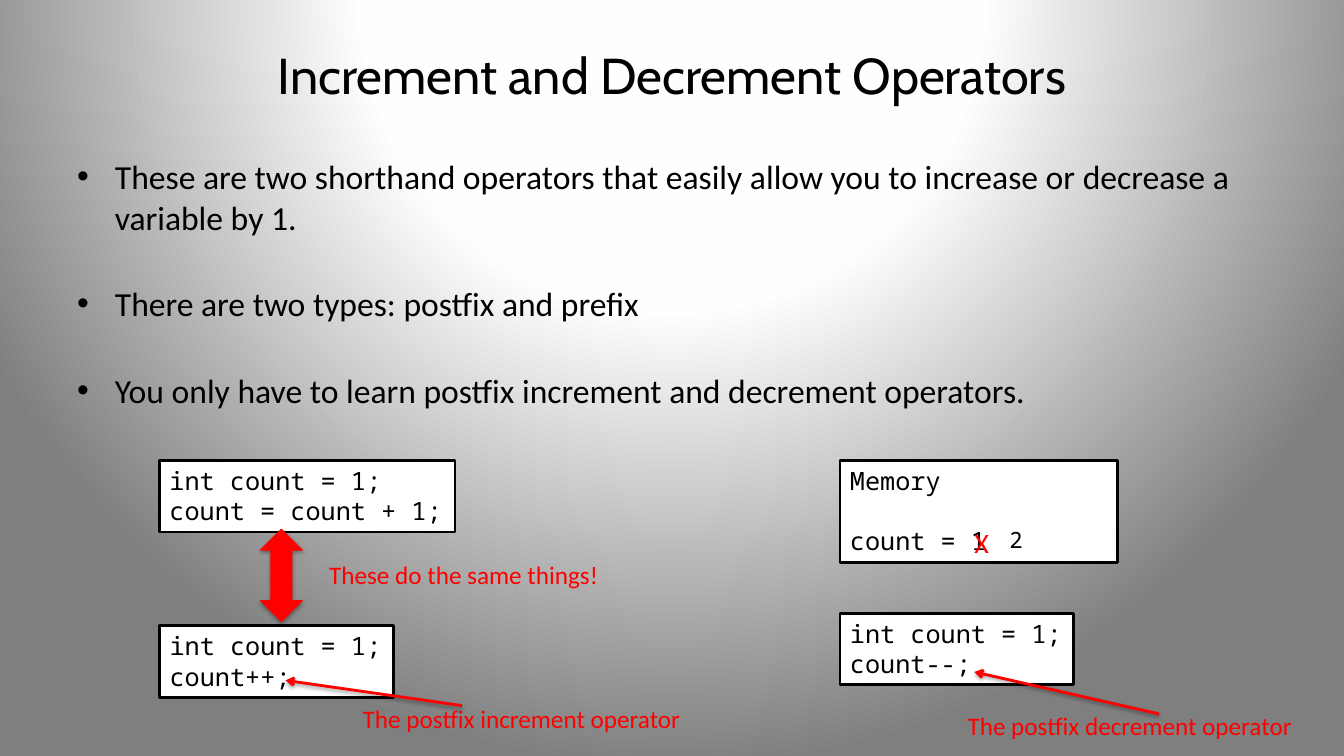
from pptx import Presentation
from pptx.dml.color import RGBColor
from pptx.enum import shapes, text
from pptx.oxml import parse_xml
from pptx.oxml.ns import nsdecls, qn
from pptx.util import Pt

# Content: places are left, top, width, height in points
BLACK, WHITE, RED, GREY = "000000", "FFFFFF", "FF0000", "7F7F7F"
SANS, MONO, TITLE_FONT = "Calibri", "Noto Sans Mono", "Cabin"
TITLE = "Increment and Decrement Operators"
BULLETS = [
    "These are two shorthand operators that easily allow you to increase or decrease a variable by 1.",
    "There are two types: postfix and prefix",
    "You only have to learn postfix increment and decrement operators.",
]
LEFT, RIGHT = 114, 600
CODE_BOXES = [
    ((LEFT, 329, 211, 51), "int count = 1;\ncount = count + 1;"),
    ((LEFT, 447, 167, 51), "int count = 1;\ncount++;"),
    ((RIGHT, 438, 167, 51), "int count = 1;\ncount--;"),
]
MEMORY_PLACE, MEMORY = (RIGHT, 329, 198, 73), "Memory\ncount = 1"
LABELS = [
    ((689, 372, 25, 32), "X", 20, SANS, RED),
    ((714, 372, 25, 27), "2", 16, MONO, BLACK),
    ((228, 396, 209, 29), "These do the same things!", 18, SANS, RED),
    ((252, 499, 245, 29), "The postfix increment operator", 18, SANS, RED),
    ((684, 504, 250, 29), "The postfix decrement operator", 18, SANS, RED),
]
DOUBLE_ARROW = (186, 378, 30, 66)
POINTERS = [(330, 504, 204, 486), (828, 510, 696, 480)]
BACKGROUND_STOPS = [(0, WHITE), (40, "FEFEFE"), (100, GREY)]


def color(value):
    return RGBColor.from_string(value)


def points(values):
    return [Pt(value) for value in values]


def write(shape, content, size, font, ink=BLACK, wrap=False):
    frame = shape.text_frame
    frame.text = content
    frame.word_wrap = wrap
    frame.vertical_anchor = text.MSO_ANCHOR.TOP
    for paragraph in frame.paragraphs:
        paragraph.alignment = text.PP_ALIGN.LEFT
        for run in paragraph.runs:
            run.font.size = Pt(size)
            run.font.name = font
            run.font.color.rgb = color(ink)
    return frame


def add_label(place, content, size, font, ink=BLACK, wrap=False):
    box = slide.shapes.add_textbox(*points(place))
    return write(box, content, size, font, ink, wrap)


def add_block(kind, place, fill, line, width):
    shape = slide.shapes.add_shape(kind, *points(place))
    shape.shadow.inherit = False
    shape.fill.solid()
    shape.fill.fore_color.rgb = color(fill)
    shape.line.color.rgb = color(line)
    shape.line.width = Pt(width)
    return shape


def add_code(place, content, wrap=False):
    box = add_block(shapes.MSO_SHAPE.RECTANGLE, place, WHITE, BLACK, 2)
    return write(box, content, 18, MONO, wrap=wrap)


def add_shadow(shape, distance, opacity):
    properties = shape._element.spPr
    for effects in properties.findall(qn("a:effectLst")):
        properties.remove(effects)
    properties.append(parse_xml(
        f'<a:effectLst {nsdecls("a")}><a:outerShdw blurRad="{Pt(3.1)}" dist="{Pt(distance)}" '
        f'dir="5400000" rotWithShape="0"><a:srgbClr val="{BLACK}">'
        f'<a:alpha val="{opacity * 1000}"/></a:srgbClr></a:outerShdw></a:effectLst>'))


presentation = Presentation()
presentation.slide_width, presentation.slide_height = Pt(960), Pt(540)
slide = presentation.slides.add_slide(presentation.slide_layouts[6])

# Background: radial gradient centred above the slide
slide.background.fill.solid()
background = slide._element.cSld.find(qn("p:bg")).find(qn("p:bgPr"))
stops = "".join(f'<a:gs pos="{position * 1000}"><a:srgbClr val="{shade}"/></a:gs>'
                for position, shade in BACKGROUND_STOPS)
background.replace(background[0], parse_xml(
    f'<a:gradFill {nsdecls("a")} rotWithShape="1"><a:gsLst>{stops}</a:gsLst><a:path path="circle">'
    '<a:fillToRect l="50000" t="-80000" r="50000" b="180000"/></a:path></a:gradFill>'))

# Title and bullets
title = add_label((48, 21.6, 864, 63), TITLE, 36, TITLE_FONT, wrap=True)
title.vertical_anchor = text.MSO_ANCHOR.MIDDLE
title.paragraphs[0].alignment = text.PP_ALIGN.CENTER

body = add_label((48, 108, 864, 210), "\n".join(BULLETS), 24, SANS, wrap=True)
for index, paragraph in enumerate(body.paragraphs):
    paragraph.space_before = Pt(33 if index else 0)
    properties = paragraph._p.get_or_add_pPr()
    properties.set("marL", str(Pt(27)))
    properties.set("indent", str(Pt(-27)))
    properties.append(parse_xml(f'<a:buFont {nsdecls("a")} typeface="Arial"/>'))
    properties.append(parse_xml(f'<a:buChar {nsdecls("a")} char="•"/>'))

# Code and memory boxes
for place, content in CODE_BOXES:
    add_code(place, content)
memory = add_code(MEMORY_PLACE, MEMORY, wrap=True)
memory.paragraphs[1].space_before = Pt(21.4)

# Double arrow, labels and pointers
double_arrow = add_block(shapes.MSO_SHAPE.UP_DOWN_ARROW, DOUBLE_ARROW, RED, RED, 0.75)
add_shadow(double_arrow, 1.8, 35)
for label in LABELS:
    add_label(*label)
for ends in POINTERS:
    pointer = slide.shapes.add_connector(shapes.MSO_CONNECTOR.STRAIGHT, *points(ends))
    pointer.line.color.rgb = color(RED)
    pointer.line.width = Pt(2)
    pointer.line._get_or_add_ln().append(parse_xml(f'<a:tailEnd {nsdecls("a")} type="arrow"/>'))
    add_shadow(pointer, 1.6, 38)

presentation.save("out.pptx")
